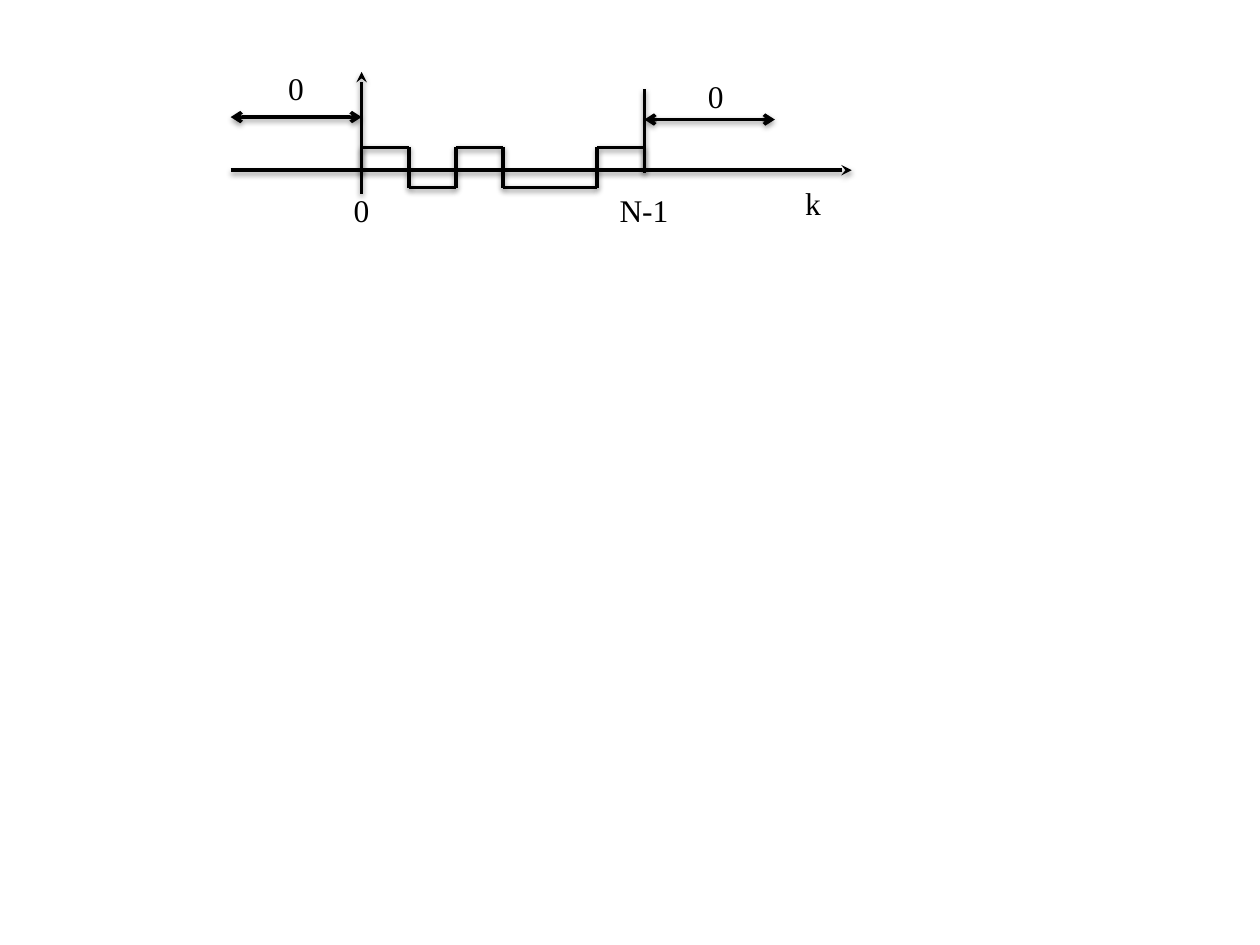
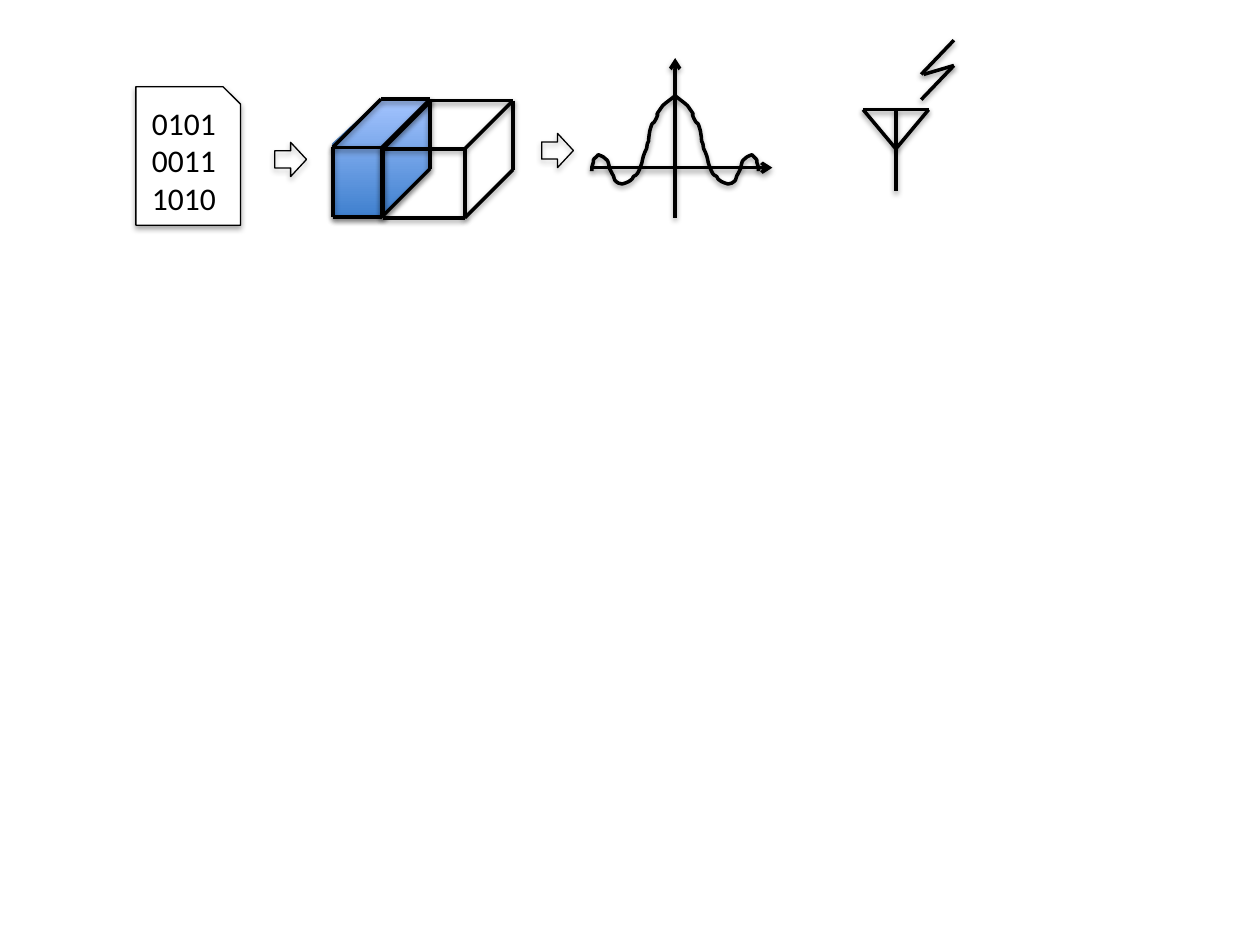
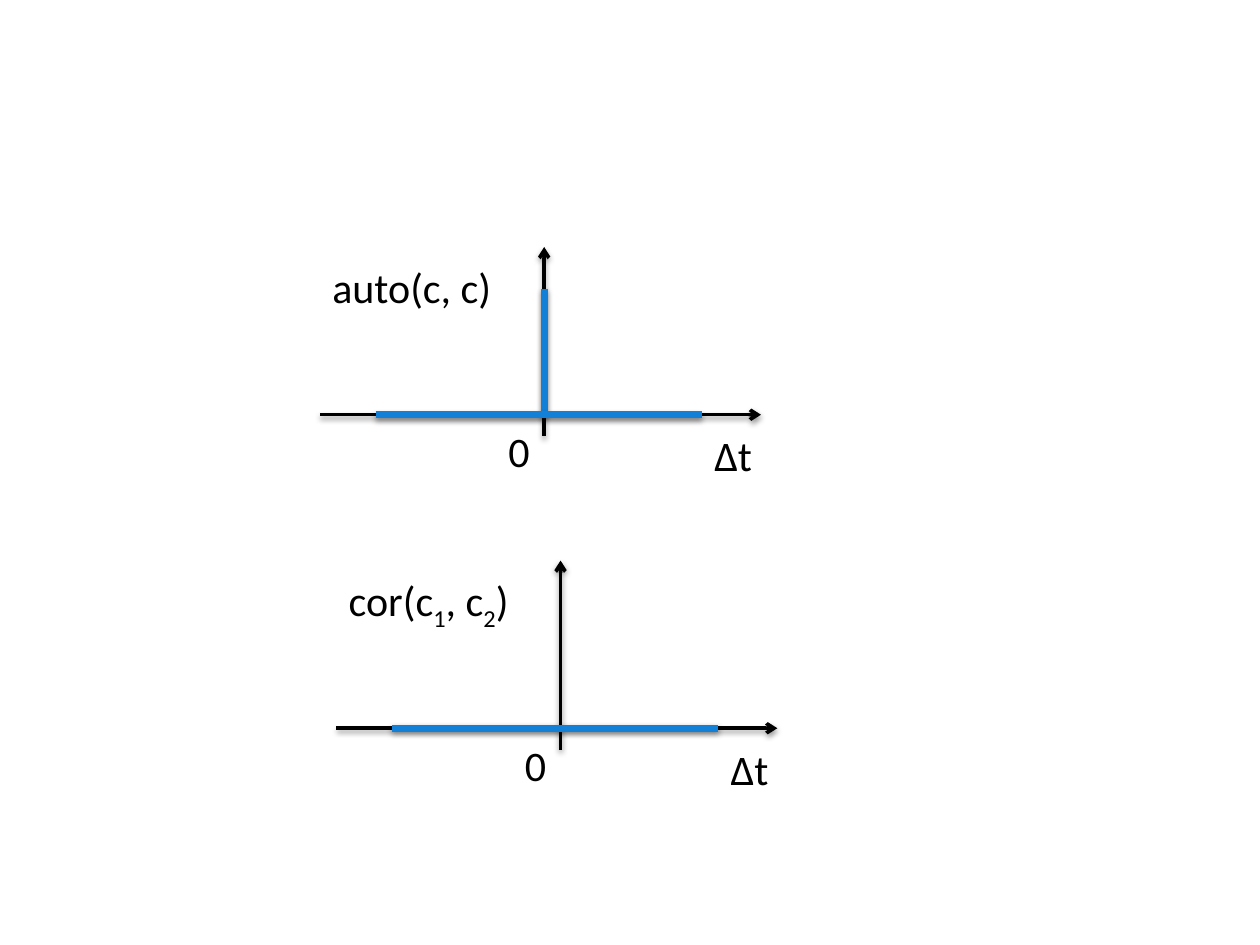
from lxml import etree
from pptx import Presentation
from pptx.dml.color import RGBColor
from pptx.enum.shapes import MSO_CONNECTOR as CONN, MSO_SHAPE as SHAPE
from pptx.enum.text import MSO_ANCHOR as ANCHOR, MSO_AUTO_SIZE as AUTO, PP_ALIGN as ALIGN
from pptx.oxml.ns import qn
from pptx.util import Cm, Pt

COLORS = {"ink": "000000", "paper": "FFFFFF", "signal": "1180D6",
          "edge": "4B7EBC", "deep": "3F80CE", "pale": "A4C4FF"}
SERIF, SANS = "Times New Roman", "Calibri"

CHIP = {"x": 7.29, "axis": 3.43, "step": 0.95, "high": 2.97, "low": 3.78, "stub": 3.48}
RUNS = [(0, 1, "high"), (1, 2, "low"), (2, 3, "high"), (3, 5, "low"), (5, 6, "high")]
CHIP_LABELS = [("0", 6.88, 3.73, 0.84), ("N-1", 12.24, 3.73, 1.55),
               ("k", 15.98, 3.58, 0.84), ("0", 14.02, 1.42, 0.84),
               ("0", 5.56, 1.27, 0.84)]

BITS = "010100111010"
ARROWS = [(5.54, 2.87), (10.92, 2.69)]
SOLID = [(8.66, 3.40), (7.72, 4.37), (6.73, 4.37), (6.71, 2.90), (7.67, 2.01), (8.64, 2.03)]
BOXES = [(6.71, 2.97, 0.99, 1.40), (7.72, 3.00, 1.65, 1.39)]
DEPTH = 0.97
PEAK = (13.61, 1.93)
HALF_WAVE = [
    (0.03, 0.03), (0.20, 0.15), (0.25, 0.20), (0.48, 0.53), (0.28, 0.25), (0.38, 0.46),
    (0.48, 0.66), (0.43, 0.43), (0.51, 0.71), (0.51, 0.76), (0.51, 0.79), (0.53, 0.84),
    (0.53, 0.89), (0.53, 0.94), (0.56, 0.97), (0.56, 1.04), (0.58, 1.09), (0.61, 1.14),
    (0.61, 1.17), (0.64, 1.19), (0.64, 1.22), (0.69, 1.42), (0.64, 1.27), (0.71, 1.47),
    (0.74, 1.52), (0.74, 1.55), (0.76, 1.57), (0.76, 1.60), (0.81, 1.60), (0.84, 1.63),
    (0.86, 1.65), (0.86, 1.70), (0.89, 1.70), (0.94, 1.75), (1.07, 1.78), (1.07, 1.78),
    (1.12, 1.75), (1.17, 1.78), (1.19, 1.73), (1.24, 1.70), (1.22, 1.63), (1.27, 1.57),
    (1.29, 1.54), (1.30, 1.50), (1.32, 1.47), (1.32, 1.47), (1.35, 1.30), (1.37, 1.30),
    (1.42, 1.24), (1.47, 1.22), (1.55, 1.19), (1.57, 1.22), (1.60, 1.24), (1.63, 1.27),
    (1.65, 1.27), (1.65, 1.32), (1.65, 1.35), (1.68, 1.45), (1.68, 1.42), (1.68, 1.52)]
ANTENNA = [(18.06, 2.21, 18.06, 3.86), (17.40, 2.21, 18.72, 2.21),
           (17.40, 2.21, 18.06, 3.00), (18.72, 2.21, 18.06, 3.00),
           (19.23, 0.81, 18.57, 1.50), (19.23, 1.32, 18.57, 2.01),
           (19.23, 1.32, 18.62, 1.50)]

PLOTS = [
    {"origin": (10.97, 8.36), "spike": True, "width": 3.78, "label": [("auto(c, c)", False)]},
    {"origin": (11.30, 14.68), "spike": False, "width": 3.86,
     "label": [("cor(c", False), ("1", True), (", c", False), ("2", True), (")", False)]}]


def rgb(name):
    return RGBColor.from_string(COLORS[name])


def add_shadow(sp, dist=20000, alpha=38000):
    effects = etree.SubElement(sp.element.spPr, qn("a:effectLst"))
    outer = etree.SubElement(effects, qn("a:outerShdw"), blurRad="40000",
                             dist=str(dist), dir="5400000", rotWithShape="0")
    color = etree.SubElement(outer, qn("a:srgbClr"), val=COLORS["ink"])
    etree.SubElement(color, qn("a:alpha"), val=str(alpha))


def set_line(sp, color="ink", width=2):
    sp.line.color.rgb = rgb(color)
    sp.line.width = Pt(width)


def add_line(shapes, x1, y1, x2, y2, color="ink", width=2, head=None, tail=None):
    cn = shapes.add_connector(CONN.STRAIGHT, Cm(x1), Cm(y1), Cm(x2), Cm(y2))
    set_line(cn, color, width)
    ln = cn.element.spPr.find(qn("a:ln"))
    for tag, kind in (("a:headEnd", head), ("a:tailEnd", tail)):
        if kind:
            etree.SubElement(ln, qn(tag), type=kind)
    add_shadow(cn)


def add_label(shapes, runs, x, y, w, h, font, size):
    box = shapes.add_textbox(Cm(x), Cm(y), Cm(w), Cm(h))
    tf = box.text_frame
    tf.word_wrap = False
    tf.auto_size = AUTO.SHAPE_TO_FIT_TEXT
    p = tf.paragraphs[0]
    p.font.name, p.font.size = font, Pt(size)
    p.font.color.rgb = rgb("ink")
    for text, subscript in runs:
        r = p.add_run()
        r.text = text
        if subscript:
            r._r.get_or_add_rPr().set("baseline", "-25000")


def add_preset(shapes, kind, x, y, w, h):
    sp = shapes.add_shape(kind, Cm(x), Cm(y), Cm(w), Cm(h))
    set_line(sp, width=0.75)
    sp.fill.background()
    add_shadow(sp, 23000, 35000)
    return sp


def add_outline(shapes, points, close):
    pts = [(Cm(x), Cm(y)) for x, y in points]
    builder = shapes.build_freeform(*pts[0])
    builder.add_line_segments(pts[1:], close=close)
    return builder.convert_to_shape()


def add_curve(shapes, points):
    sp = add_outline(shapes, points, False)
    sp.fill.background()
    set_line(sp)
    add_shadow(sp)
    segments = list(sp.element.iter(qn("a:lnTo")))
    outline = segments[0].getparent()
    for i in range(0, len(segments), 3):
        curve = etree.SubElement(outline, qn("a:cubicBezTo"))
        for seg in segments[i:i + 3]:
            curve.append(seg[0])
            outline.remove(seg)


def add_box(shapes, x, y, w, h):
    right, bottom, d = x + w, y + h, DEPTH
    for edge in [(x, y, x + d, y - d), (right, y, right + d, y - d),
                 (x, y, right, y), (x, y, x, bottom), (right, y, right, bottom),
                 (x, bottom, right, bottom), (x + d, y - d, right + d, y - d),
                 (right + d, y - d, right + d, bottom - d),
                 (right, bottom, right + d, bottom - d)]:
        add_line(shapes, *edge)


def draw_chips(slide):
    g = slide.shapes.add_group_shape().shapes
    x0, axis, step = CHIP["x"], CHIP["axis"], CHIP["step"]
    end = x0 + RUNS[-1][1] * step
    add_line(g, 4.65, axis, 17.17, axis, tail="stealth")
    for first, last, level in RUNS:
        x = x0 + first * step
        add_line(g, x, CHIP["high"], x, CHIP["low"] if first else CHIP["stub"])
        add_line(g, x, CHIP[level], x0 + last * step, CHIP[level])
    add_line(g, end, CHIP["high"], end, CHIP["stub"])
    for text, x, y, w in CHIP_LABELS:
        add_label(g, [(text, False)], x, y, w, 1.02, SERIF, 18)
    add_line(g, x0, 3.91, x0, 1.45, tail="stealth")
    add_line(g, end, 1.80, end, axis)
    add_line(g, end, 2.41, 15.62, 2.41, head="arrow", tail="arrow")
    add_line(g, 4.65, 2.36, x0, 2.36, head="arrow", tail="arrow")


def draw_chain(slide):
    doc = add_preset(slide.shapes, SHAPE.SNIP_1_RECTANGLE, 2.74, 1.75, 2.11, 2.79)
    doc.fill.solid()
    doc.fill.fore_color.rgb = rgb("paper")
    tf = doc.text_frame
    tf.word_wrap = True
    tf.vertical_anchor = ANCHOR.MIDDLE
    p = tf.paragraphs[0]
    p.text, p.alignment = BITS, ALIGN.CENTER
    p.font.name, p.font.size = SANS, Pt(18)
    p.font.color.rgb = rgb("ink")
    for x, y in ARROWS:
        add_preset(slide.shapes, SHAPE.RIGHT_ARROW, x, y, 0.64, 0.69)

    cube = slide.shapes.add_group_shape().shapes
    solid = add_outline(cube, SOLID, True)
    solid.fill.gradient()
    solid.fill.gradient_angle = 90
    for stop, name in zip(solid.fill.gradient_stops, ("deep", "pale")):
        stop.color.rgb = rgb(name)
    set_line(solid, "edge", 0.75)
    add_shadow(solid, 23000, 35000)
    for box in BOXES:
        add_box(cube, *box)

    wave = slide.shapes.add_group_shape().shapes
    px, py = PEAK
    add_line(wave, 11.94, 3.38, 15.57, 3.38, tail="arrow")
    add_line(wave, px, 4.39, px, 1.17, tail="arrow")
    for side in (1, -1):
        add_curve(wave, [PEAK] + [(px + side * dx, py + dy) for dx, dy in HALF_WAVE])

    antenna = slide.shapes.add_group_shape().shapes
    for ends in ANTENNA:
        add_line(antenna, *ends)


def draw_correlations(slide):
    for plot in PLOTS:
        g = slide.shapes.add_group_shape().shapes
        x, y = plot["origin"]
        add_line(g, x - 4.52, y, x + 4.37, y, tail="arrow")
        add_line(g, x, y + 0.43, x, y - 3.38, tail="arrow")
        if plot["spike"]:
            add_line(g, x, y, x, y - 2.54, "signal", 4)
        add_line(g, x - 3.40, y, x + 3.18, y, "signal", 4)
        for runs, dx, dy, w in [([("Δt", False)], 3.18, 0.18, 1.27),
                                ([("0", False)], -0.97, 0.10, 0.94),
                                (plot["label"], -4.52, -3.22, plot["width"])]:
            add_label(g, runs, x + dx, y + dy, w, 1.27, SANS, 24)


prs = Presentation()
prs.slide_width, prs.slide_height = Cm(25.4), Cm(19.05)
for draw in (draw_chips, draw_chain, draw_correlations):
    draw(prs.slides.add_slide(prs.slide_layouts[6]))
prs.save("out.pptx")
